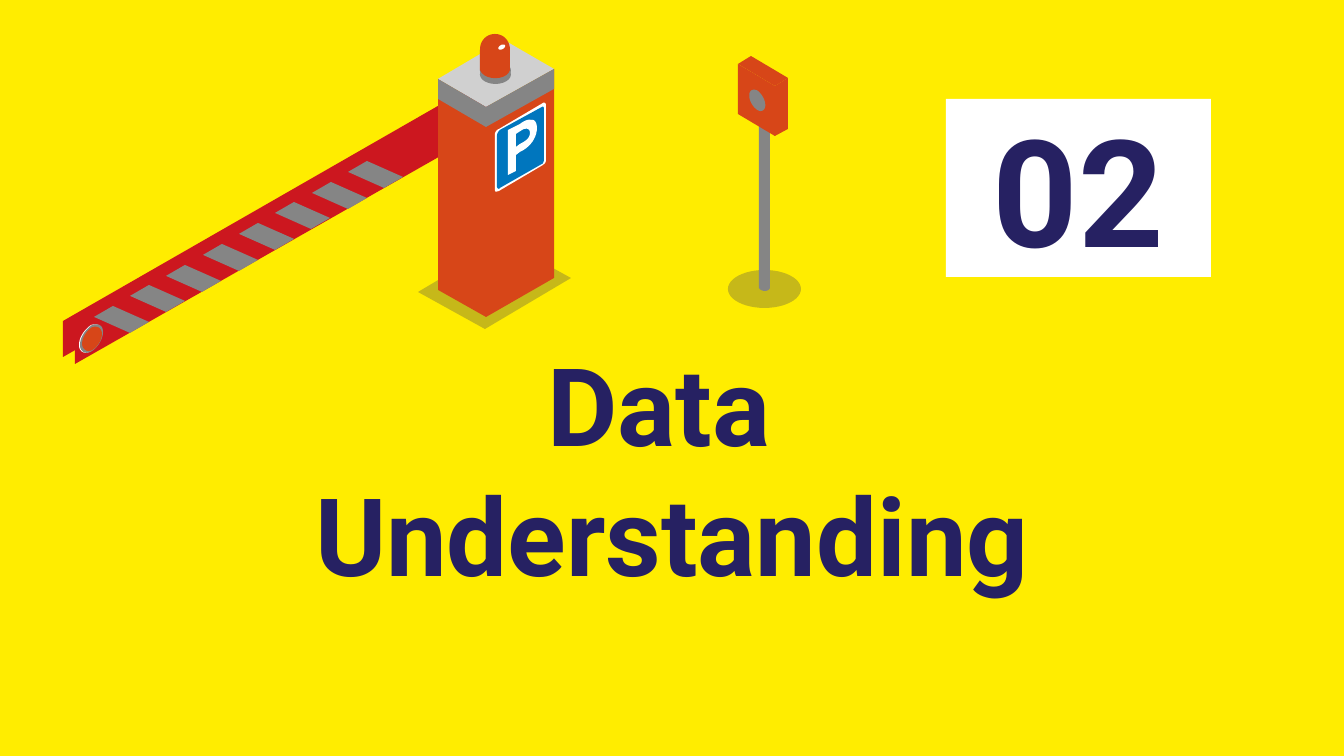
import pptx
import pptx.dml.color
import pptx.enum.shapes
import pptx.enum.text
import pptx.util
from lxml import etree

PX = 914400 / 134.4
COLOURS = {
    "yellow": "FFED00", "navy": "262162", "white": "FFFFFF", "red": "CC171F",
    "orange": "D74618", "grey": "858585", "light": "D0D0D0", "blue": "0076BE",
}
RGB = {name: pptx.dml.color.RGBColor.from_string(code) for name, code in COLOURS.items()}
OVAL = pptx.enum.shapes.MSO_SHAPE.OVAL

deck = pptx.Presentation()
deck.slide_width, deck.slide_height = round(1344 * PX), round(756 * PX)
slide = deck.slides.add_slide(deck.slide_layouts[6])
slide.background.fill.solid()
slide.background.fill.fore_color.rgb = RGB["yellow"]


def add_text(text, left, top, width, height, size, anchor="TOP", fill=None):
    box = slide.shapes.add_textbox(*(round(v * PX) for v in (left, top, width, height)))
    if fill:
        box.fill.solid()
        box.fill.fore_color.rgb = RGB[fill]
    frame = box.text_frame
    frame.word_wrap = True
    frame.vertical_anchor = pptx.enum.text.MSO_ANCHOR[anchor]
    for side in ("left", "top", "right", "bottom"):
        setattr(frame, f"margin_{side}", pptx.util.Inches(0.1))
    paragraph = frame.paragraphs[0]
    paragraph.text = text
    paragraph.alignment = pptx.enum.text.PP_ALIGN.CENTER
    for run in paragraph.runs:
        run.font.name = "Roboto"
        run.font.size = pptx.util.Pt(size)
        run.font.bold = True
        run.font.color.rgb = RGB[colour] if (colour := "navy") else None


def outline(group, colour, *contours, at=(0, 0), scale=(1, 1)):
    """Fill closed contours: a pair is a corner, six numbers are a Bézier curve."""
    builder = None
    for contour in contours:
        points = [contour[0]]
        for step in contour[1:]:
            if len(step) == 2:
                points.append(step)
                continue
            x0, y0 = points[-1]
            x1, y1, x2, y2, x3, y3 = step
            for t in (i / 10 for i in range(1, 11)):
                a, b, c, d = (1 - t) ** 3, 3 * t * (1 - t) ** 2, 3 * t * t * (1 - t), t ** 3
                points.append((a * x0 + b * x1 + c * x2 + d * x3,
                               a * y0 + b * y1 + c * y2 + d * y3))
        placed = [tuple(round((o + s * v) * PX) for o, s, v in zip(at, scale, point))
                  for point in points]
        if builder is None:
            builder = group.shapes.build_freeform(*placed[0])
        else:
            builder.move_to(*placed[0])
        builder.add_line_segments(placed[1:], close=True)
    shape = builder.convert_to_shape()
    shape.shadow.inherit = False
    shape.fill.solid()
    shape.fill.fore_color.rgb = RGB[colour]
    shape.line.fill.background()
    return shape


add_text("Data \vUnderstanding", 133, 325, 1078, 285, size=58)
add_text("02", 946, 99, 265, 178, size=80, anchor="MIDDLE", fill="white")

# Barrier arm with its stripes
barrier = slide.shapes.add_group_shape()
for offset in ((0, 0), (12, 7)):
    outline(barrier, "red", [(497, 110), (63, 357), (63, 321), (464, 91)], at=offset)
for i in range(8):
    outline(barrier, "grey", [(0, 0), (36, 16), (55, 5), (19, -11)],
            at=(348 - round(36.3 * i), 172 + round(20.7 * i)))

# Barrier housing
barrier_shadow = outline(barrier, "navy", [(571, 278), (485, 329), (418, 292), (504, 241)])
outline(barrier, "orange", [(486, 317), (486, 107), (438, 79), (438, 290)])
outline(barrier, "orange", [(554, 69), (486, 107), (486, 317), (554, 278)])
outline(barrier, "light", [(438, 79), (486, 107), (554, 69), (504, 40)])

# Parking sign
outline(barrier, "white", [
    (543, 103), (499, 129), (496, 130, 495, 133, 495, 134), (495, 190),
    (495, 192, 496, 192, 499, 191), (543, 165), (544, 164, 546, 163, 546, 160),
    (546, 105), (546, 103, 544, 102, 543, 103)])
outline(barrier, "blue", [
    (542, 107), (500, 130), (499, 131, 497, 133, 497, 136), (497, 187),
    (497, 188, 499, 190, 500, 188), (542, 164), (543, 164, 544, 161, 544, 160),
    (544, 109), (544, 107, 543, 106, 542, 107)])
letter_bowl = [(525, 129), (528, 128, 530, 130, 530, 133), (530, 138, 526, 141, 520, 144),
               (516, 147), (516, 134), (519, 132), (521, 131, 523, 129, 525, 129)]
letter_edge = [(531, 120), (528, 119, 524, 121, 520, 124), (508, 130), (508, 175),
               (516, 171), (516, 155), (520, 152), (531, 147, 537, 137, 537, 128),
               (537, 122, 534, 119, 531, 120)]
outline(barrier, "white", letter_bowl, letter_edge)

# Reflector at the end of the arm
disc = [(0, -13), (6, -15, 11, -13, 11, -6), (11, 1, 6, 9, 0, 13),
        (-6, 17, -12, 14, -12, 7), (-12, -1, -6, -9, 0, -13)]
for colour, centre, size in (("white", (91, 338), 1), ("grey", (92, 338), 1),
                             ("orange", (92, 338), 0.82), ("orange", (93, 339), 0.82)):
    outline(barrier, colour, disc, at=centre, scale=(size, size))

# Cap and lamp
outline(barrier, "grey", [(486, 127), (554, 89), (554, 69), (486, 107)])
outline(barrier, "grey", [(486, 127), (438, 99), (438, 79), (486, 107)])
reader = slide.shapes.add_group_shape()
ovals = []
for group, colour, bounds in ((barrier, "grey", (480, 65, 31, 19)),
                              (barrier, "grey", (480, 61, 31, 19)),
                              (reader, "navy", (728, 270, 73, 38))):
    oval = group.shapes.add_shape(OVAL, *(round(v * PX) for v in bounds))
    oval.shadow.inherit = False
    oval.fill.solid()
    oval.fill.fore_color.rgb = RGB[colour]
    oval.line.fill.background()
    ovals.append(oval)
outline(barrier, "orange", [
    (495, 34), (487, 34, 480, 40, 480, 50), (480, 70), (484, 81, 507, 81, 510, 70),
    (510, 50), (510, 40, 503, 34, 495, 34)])
outline(barrier, "orange", [
    (495, 36), (488, 36, 482, 43, 482, 50), (482, 65, 495, 75, 508, 71),
    (508, 50), (508, 43, 503, 36, 495, 36)])
outline(barrier, "white", disc, at=(502, 47), scale=(0.3, 0.18))

# Card reader on its pole
outline(reader, "grey", [
    (765, 93), (762, 93, 759, 94, 759, 98), (759, 288), (761, 292, 769, 292, 770, 288),
    (770, 98), (770, 94, 767, 93, 765, 93)])
outline(reader, "orange", [(775, 136), (775, 86), (738, 64), (738, 114)])
outline(reader, "orange", [(788, 78), (775, 86), (775, 136), (788, 129)])
outline(reader, "orange", [(788, 78), (775, 86), (738, 64), (751, 56)])
outline(reader, "grey", disc, at=(757, 100), scale=(-0.7, 0.75))

# Ground shadows are see-through
for shadow in (barrier_shadow, ovals[-1]):
    colour_node = shadow.fill._xPr.find(".//{*}srgbClr")
    etree.SubElement(colour_node, pptx.oxml.ns.qn("a:alpha"), val="26000")

deck.save("out.pptx")
